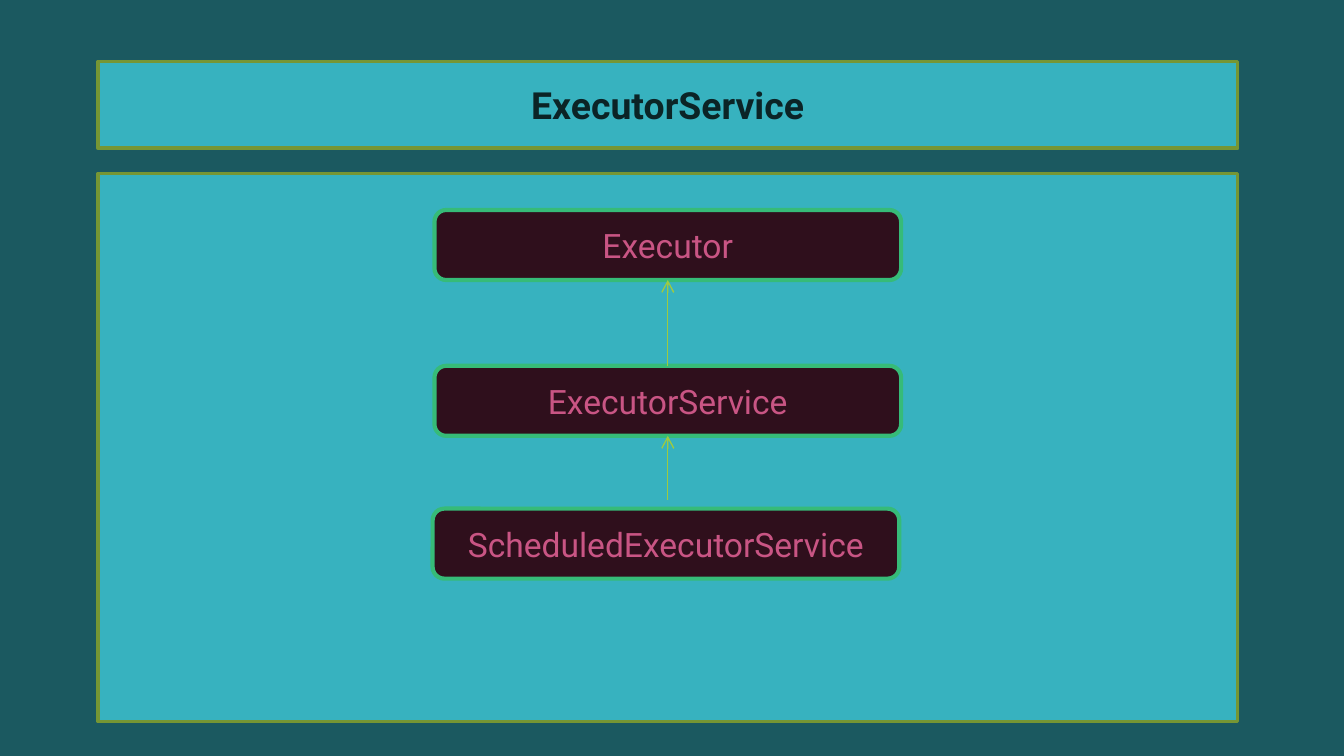
from lxml import etree
from pptx import Presentation
from pptx.dml.color import RGBColor
from pptx.enum.shapes import MSO_CONNECTOR, MSO_SHAPE
from pptx.enum.text import MSO_ANCHOR, PP_ALIGN
from pptx.oxml.ns import qn
from pptx.util import Pt

ROUND, FOLDED = MSO_SHAPE.ROUNDED_RECTANGLE, MSO_SHAPE.FOLDED_CORNER
STRAIGHT = MSO_CONNECTOR.STRAIGHT
CENTER, MIDDLE = PP_ALIGN.CENTER, MSO_ANCHOR.MIDDLE
TOP, BOTTOM = 0, 2

FONT = "Roboto"
COLORS = {
    "back": "1B5960", "panel": "37B2BF", "edge": "769634", "head": "0B2426",
    "node": "2F0F1C", "rim": "36BB78", "label": "C95584", "arrow": "9ECA41",
}


def color(name):
    return RGBColor.from_string(COLORS[name])


def paint(shape, fill, line, width):
    shape.fill.solid()
    shape.fill.fore_color.rgb = color(fill)
    shape.line.color.rgb = color(line)
    shape.line.width = Pt(width)
    shape.shadow.inherit = False


def write(shape, text, size=18, tint="label", bold=False):
    frame = shape.text_frame
    frame.word_wrap = True
    frame.vertical_anchor = MIDDLE
    para = frame.paragraphs[0]
    para.alignment = CENTER
    run = para.add_run()
    run.text = text
    run.font.name = FONT
    run.font.size = Pt(size)
    run.font.bold = bold
    run.font.color.rgb = color(tint)


def add_title(slide, box, text):
    title = slide.shapes.title
    title.left, title.top, title.width, title.height = map(Pt, box)
    # Rounded outline for the placeholder
    geom = etree.SubElement(title._element.spPr, qn("a:prstGeom"), prst="roundRect")
    etree.SubElement(geom, qn("a:avLst"))
    paint(title, "panel", "edge", 2)
    write(title, text, size=20, tint="head", bold=True)


def add_node(slide, box, text):
    node = slide.shapes.add_shape(ROUND, *map(Pt, box))
    paint(node, "node", "rim", 2.25)
    write(node, text)
    return node


def add_arrow(slide, child, parent, gap=0):
    """Point from child up to parent; a gap leaves the tail free of the child."""
    x = parent.left + parent.width // 2
    arrow = slide.shapes.add_connector(
        STRAIGHT, x, child.top - Pt(gap), x, parent.top + parent.height)
    if not gap:
        arrow.begin_connect(child, TOP)
    arrow.end_connect(parent, BOTTOM)
    arrow.line.color.rgb = color("arrow")
    arrow.line.width = Pt(0.75)
    etree.SubElement(arrow.line._get_or_add_ln(), qn("a:tailEnd"), type="arrow")
    etree.SubElement(arrow._element.spPr, qn("a:effectLst"))


def add_tree(slide, box):
    left, top, width, height = box
    panel = slide.shapes.add_shape(FOLDED, *map(Pt, box))
    # Flatten the folded corner
    guides = panel._element.spPr.find(qn("a:prstGeom")).find(qn("a:avLst"))
    etree.SubElement(guides, qn("a:gd"), name="adj", fmla="val 0")
    paint(panel, "panel", "edge", 2)

    # Interfaces, from the most general down
    wide, high = 250, 37.5
    mid = left + (width - wide) / 2
    base, service, timed = [
        add_node(slide, (mid + shift, top + drop, wide, high), text)
        for text, shift, drop in (
            ("Executor", 0, 19.5),
            ("ExecutorService", 0, 103),
            ("ScheduledExecutorService", -1, 179.5),
        )
    ]

    # Inheritance
    add_arrow(slide, service, base)
    add_arrow(slide, timed, service, gap=4.5)


def main():
    deck = Presentation()
    deck.slide_width, deck.slide_height = Pt(720), Pt(405)
    slide = deck.slides.add_slide(deck.slide_layouts[5])
    slide.background.fill.solid()
    slide.background.fill.fore_color.rgb = color("back")

    left, width = 52.5, 610.5
    add_title(slide, (left, 33, width, 46.5), "ExecutorService")
    add_tree(slide, (left, 93, width, 293.5))
    deck.save("out.pptx")


if __name__ == "__main__":
    main()
